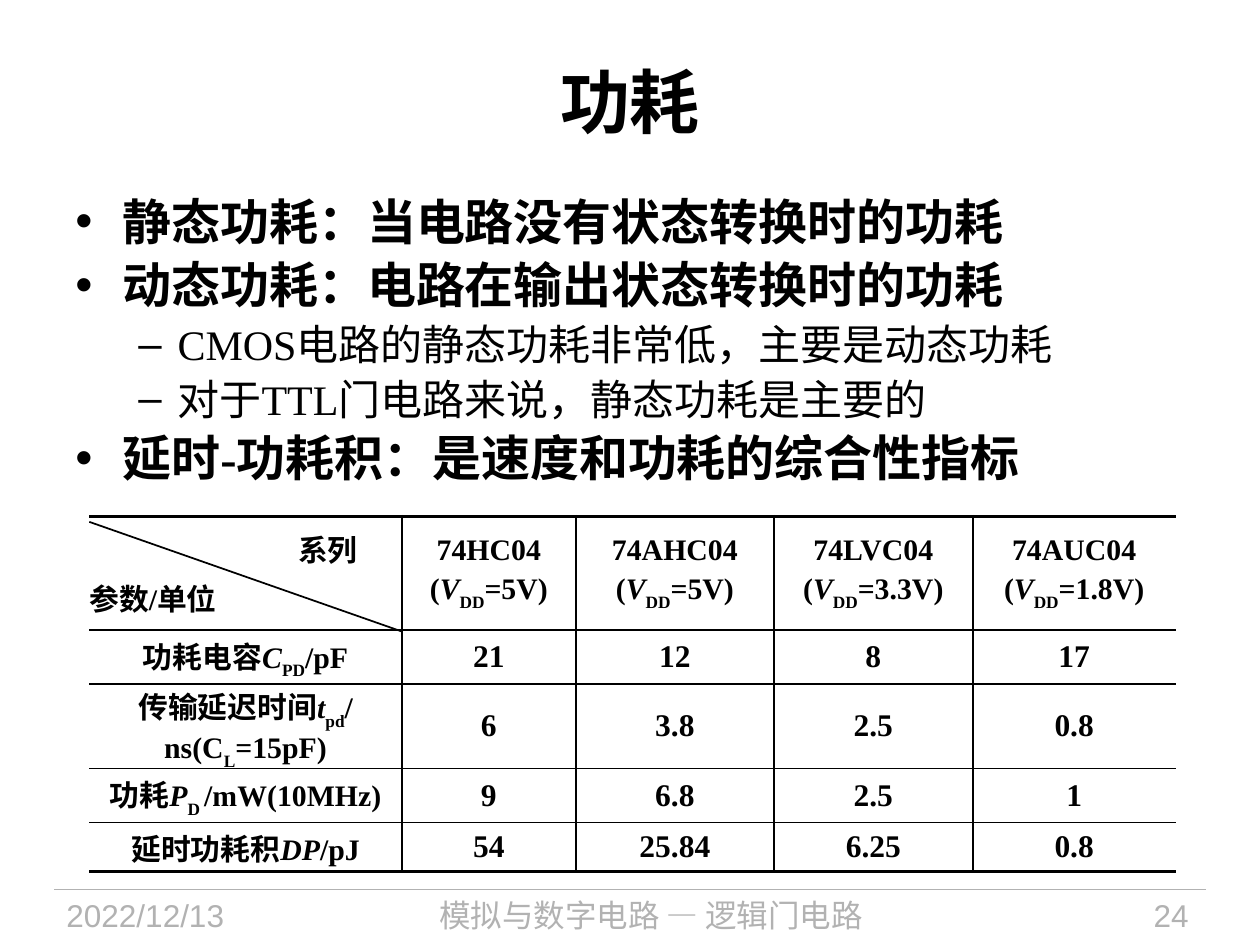
from dataclasses import dataclass
from typing import NamedTuple

from lxml import etree
from pptx import Presentation
from pptx.dml.color import RGBColor
from pptx.enum.shapes import MSO_CONNECTOR
from pptx.enum.text import MSO_ANCHOR, PP_ALIGN
from pptx.oxml.ns import qn
from pptx.util import Cm, Pt

STRAIGHT = MSO_CONNECTOR.STRAIGHT
TOP, MIDDLE = MSO_ANCHOR.TOP, MSO_ANCHOR.MIDDLE
LEFT, CENTER, RIGHT = PP_ALIGN.LEFT, PP_ALIGN.CENTER, PP_ALIGN.RIGHT


@dataclass(frozen=True)
class Theme:
    ink: RGBColor = RGBColor(0, 0, 0)
    muted: RGBColor = RGBColor(0xB2, 0xB2, 0xB2)
    serif: str = "Times New Roman"
    sans: str = "Arial"
    title: float = 40
    point: float = 28
    subpoint: float = 24
    value: float = 18
    label: float = 17
    footer: float = 18
    rule: float = 1
    heavy_rule: float = 2
    footer_rule: float = 0.75


class Box(NamedTuple):
    left: float
    top: float
    width: float
    height: float


class Piece(NamedTuple):
    text: str
    italic: bool = False
    subscript: bool = False


class Point(NamedTuple):
    text: str
    level: int = 0


class Level(NamedTuple):
    mark: str
    margin: float
    hanging: float
    size: float
    bold: bool


class Footer(NamedTuple):
    text: str
    box: Box
    align: PP_ALIGN


class Series(NamedTuple):
    model: str
    voltage: str
    values: tuple[str, ...]


THEME = Theme()
LEVELS = (
    Level("•", 0.95, 0.95, THEME.point, True),
    Level("–", 2.06, 0.79, THEME.subpoint, False),
)
POINTS = (
    Point("静态功耗：当电路没有状态转换时的功耗"),
    Point("动态功耗：电路在输出状态转换时的功耗"),
    Point("CMOS电路的静态功耗非常低，主要是动态功耗", 1),
    Point("对于TTL门电路来说，静态功耗是主要的", 1),
    Point("延时-功耗积：是速度和功耗的综合性指标"),
)
FOOTERS = (
    Footer("2022/12/13", Box(1.09, 17.93, 4.78, 1.12), LEFT),
    Footer("模拟与数字电路 — 逻辑门电路", Box(6.32, 17.93, 13.61, 1.12), CENTER),
    Footer("24", Box(20.83, 17.93, 3.38, 1.12), RIGHT),
)
PARAMETERS = (
    (Piece("功耗电容"), Piece("C", italic=True), Piece("PD", subscript=True), Piece("/pF")),
    (Piece("传输延迟时间"), Piece("t", italic=True), Piece("pd", subscript=True),
     Piece("/ns(C"), Piece("L", subscript=True), Piece("=15pF)")),
    (Piece("功耗"), Piece("P", italic=True), Piece("D ", subscript=True), Piece("/mW(10MHz)")),
    (Piece("延时功耗积"), Piece("DP", italic=True), Piece("/pJ")),
)
SERIES = (
    Series("74HC04", "5V", ("21", "6", "9", "54")),
    Series("74AHC04", "5V", ("12", "3.8", "6.8", "25.84")),
    Series("74LVC04", "3.3V", ("8", "2.5", "2.5", "6.25")),
    Series("74AUC04", "1.8V", ("17", "0.8", "1", "0.8")),
)
COLUMN_WIDTHS = (6.3, 3.51, 3.99, 4.01, 4.09)
ROW_HEIGHTS = (2.29, 1.09, 1.7, 1.09, 0.99)
TABLE_LEFT, TABLE_TOP = 1.8, 10.41


def style_font(font, size: float, color=THEME.ink, face=THEME.serif, bold=False) -> None:
    font.size, font.name, font.bold = Pt(size), face, bold
    font.color.rgb = color


def add_text_box(slide, box: Box, anchor=TOP):
    frame = slide.shapes.add_textbox(*map(Cm, box)).text_frame
    frame.word_wrap = True
    frame.vertical_anchor = anchor
    return frame


def add_label(slide, text: str, box: Box, align, anchor=TOP, **font_style) -> None:
    frame = add_text_box(slide, box, anchor)
    frame.text = text
    paragraph = frame.paragraphs[0]
    paragraph.alignment = align
    style_font(paragraph.runs[0].font, **font_style)


def add_line(slide, start: tuple, end: tuple, color, width: float) -> None:
    line = slide.shapes.add_connector(STRAIGHT, *map(Cm, (*start, *end)))
    line.line.color.rgb = color
    line.line.width = Pt(width)
    etree.SubElement(line._element.spPr, qn("a:effectLst"))


def add_points(slide, box: Box, points: tuple[Point, ...]) -> None:
    frame = add_text_box(slide, box)
    frame.text = "\n".join(point.text for point in points)
    for paragraph, point in zip(frame.paragraphs, points):
        level = LEVELS[point.level]
        paragraph.level = point.level
        properties = paragraph._p.get_or_add_pPr()
        properties.set("marL", str(Cm(level.margin)))
        properties.set("indent", str(-Cm(level.hanging)))
        etree.SubElement(properties, qn("a:buFont"), typeface=THEME.sans)
        etree.SubElement(properties, qn("a:buChar"), char=level.mark)
        paragraph.space_after = Pt(level.size * 0.1)
        style_font(paragraph.runs[0].font, level.size, bold=level.bold)


def set_border(cell, side: str, width: float) -> None:
    border = etree.SubElement(cell._tc.get_or_add_tcPr(), qn(f"a:ln{side}"), w=str(Pt(width)))
    if width:
        fill = etree.SubElement(border, qn("a:solidFill"))
        etree.SubElement(fill, qn("a:srgbClr"), val=str(THEME.ink))
    else:
        etree.SubElement(border, qn("a:noFill"))


def fill_cell(cell, lines: tuple, size=THEME.label, aligns=(CENTER, CENTER)) -> None:
    cell.margin_left = cell.margin_right = cell.margin_top = cell.margin_bottom = 0
    cell.vertical_anchor = MIDDLE
    frame = cell.text_frame
    for index, (pieces, align) in enumerate(zip(lines, aligns)):
        paragraph = frame.add_paragraph() if index else frame.paragraphs[0]
        paragraph.alignment = align
        paragraph.space_after = Pt(size * 0.2)
        for piece in pieces:
            run = paragraph.add_run()
            run.text = piece.text
            style_font(run.font, size, bold=True)
            run.font.italic = piece.italic
            if piece.subscript:
                run.font._element.set("baseline", "-30000")


def add_comparison(slide) -> None:
    table = slide.shapes.add_table(
        len(ROW_HEIGHTS), len(COLUMN_WIDTHS), Cm(TABLE_LEFT), Cm(TABLE_TOP),
        Cm(sum(COLUMN_WIDTHS)), Cm(sum(ROW_HEIGHTS))).table
    table.first_row = table.horz_banding = False
    for column, width in zip(table.columns, COLUMN_WIDTHS):
        column.width = Cm(width)
    for row, height in zip(table.rows, ROW_HEIGHTS):
        row.height = Cm(height)

    corner = table.cell(0, 0)
    fill_cell(corner, ((Piece("系列"),), (Piece("参数/单位"),)), aligns=(RIGHT, LEFT))
    corner.margin_right = Cm(0.89)
    for row, parameter in enumerate(PARAMETERS, 1):
        fill_cell(table.cell(row, 0), (parameter,))
    for column, series in enumerate(SERIES, 1):
        supply = (Piece("("), Piece("V", italic=True), Piece("DD", subscript=True),
                  Piece(f"={series.voltage})"))
        fill_cell(table.cell(0, column), ((Piece(series.model),), supply))
        for row, value in enumerate(series.values, 1):
            fill_cell(table.cell(row, column), ((Piece(value),),), THEME.value)

    last_row, last_column = len(ROW_HEIGHTS) - 1, len(COLUMN_WIDTHS) - 1
    for row in range(last_row + 1):
        for column in range(last_column + 1):
            cell = table.cell(row, column)
            set_border(cell, "L", THEME.rule if column else 0)
            set_border(cell, "R", THEME.rule if column < last_column else 0)
            set_border(cell, "T", THEME.rule if row else THEME.heavy_rule)
            set_border(cell, "B", THEME.rule if row < last_row else THEME.heavy_rule)
            cell.fill.background()


def main() -> None:
    deck = Presentation()
    deck.slide_width, deck.slide_height = Cm(25.4), Cm(19.05)
    slide = deck.slides.add_slide(deck.slide_layouts[6])

    add_line(slide, (1.09, 17.93), (24.31, 17.93), THEME.muted, THEME.footer_rule)
    for footer in FOOTERS:
        add_label(slide, footer.text, footer.box, footer.align,
                  size=THEME.footer, color=THEME.muted, face=THEME.sans)
    add_label(slide, "功耗", Box(1.27, 0.43, 22.86, 3.18), CENTER, MIDDLE,
              size=THEME.title, bold=True)
    add_points(slide, Box(1.27, 3.73, 22.86, 6.5), POINTS)
    add_comparison(slide)
    add_line(slide, (TABLE_LEFT, 10.52), (TABLE_LEFT + COLUMN_WIDTHS[0], 12.73),
             THEME.ink, THEME.rule)
    deck.save("out.pptx")


if __name__ == "__main__":
    main()
